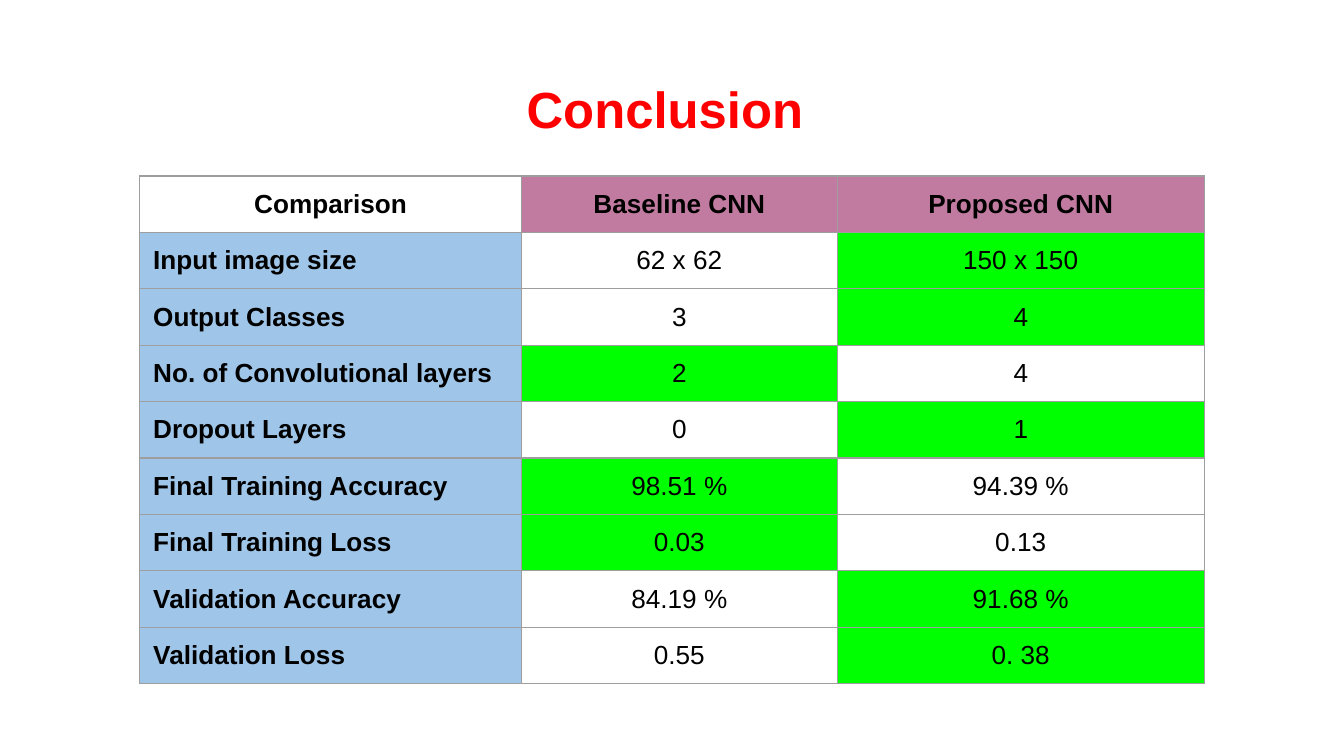
import pptx
import pptx.util
import pptx.dml.color
import pptx.enum.text
import pptx.oxml
import pptx.oxml.ns

WIDTH = 10
HEIGHT = WIDTH * 9 / 16
FONT = "Arial"
COLORS = {
    "title": "FF0000",
    "text": "000000",
    "model": "C27BA0",
    "metric": "9FC5E8",
    "better": "00FF00",
    "border": "9E9E9E",
}
COLUMN_WIDTHS = [2.84, 2.35, 2.73]
ROW_HEIGHT = 0.42
HEADINGS = ["Comparison", "Baseline CNN", "Proposed CNN"]
RESULTS = [
    ("Input image size", "62 x 62", "150 x 150", 2),
    ("Output Classes", "3", "4", 2),
    ("No. of Convolutional layers", "2", "4", 1),
    ("Dropout Layers", "0", "1", 2),
    ("Final Training Accuracy", "98.51 %", "94.39 %", 1),
    ("Final Training Loss", "0.03", "0.13", 1),
    ("Validation Accuracy", "84.19 %", "91.68 %", 2),
    ("Validation Loss", "0.55", "0. 38", 2),
]
Inches = pptx.util.Inches
ALIGN = pptx.enum.text.PP_ALIGN
ANCHOR = pptx.enum.text.MSO_ANCHOR


def rgb(name):
    return pptx.dml.color.RGBColor.from_string(COLORS[name])


def style_paragraph(paragraph, size, color, bold, align):
    paragraph.alignment = align
    paragraph.font.name = FONT
    paragraph.font.size = pptx.util.Pt(size)
    paragraph.font.bold = bold
    paragraph.font.color.rgb = rgb(color)


def add_borders(cell):
    properties = cell._tc.get_or_add_tcPr()
    for side in ("lnL", "lnR", "lnT", "lnB"):
        properties.append(pptx.oxml.parse_xml(
            f'<a:{side} {pptx.oxml.ns.nsdecls("a")} w="{pptx.util.Pt(0.75)}">'
            f'<a:solidFill><a:srgbClr val="{COLORS["border"]}"/></a:solidFill>'
            f'</a:{side}>'))


def fill_cell(cell, text, fill, bold, align, anchor):
    cell.text = text
    cell.vertical_anchor = anchor
    cell.margin_left = cell.margin_right = Inches(0.1)
    cell.margin_top = cell.margin_bottom = Inches(0.1)
    style_paragraph(cell.text_frame.paragraphs[0], 14, "text", bold, align)
    add_borders(cell)
    if fill:
        cell.fill.solid()
        cell.fill.fore_color.rgb = rgb(fill)
    else:
        cell.fill.background()


def set_title(slide, text):
    title = slide.shapes.title
    title.left, title.top = Inches(0.34), Inches(0.49)
    title.width, title.height = Inches(WIDTH - 2 * 0.34), Inches(0.63)
    frame = title.text_frame
    frame.text = text
    frame.auto_size = pptx.enum.text.MSO_AUTO_SIZE.NONE
    frame.vertical_anchor = ANCHOR.MIDDLE
    style_paragraph(frame.paragraphs[0], 27.2, "title", True, ALIGN.CENTER)


def add_comparison(slide):
    row_count = len(RESULTS) + 1
    comparison = slide.shapes.add_table(
        row_count, len(HEADINGS), Inches(1.04), Inches(1.31),
        Inches(sum(COLUMN_WIDTHS)), Inches(ROW_HEIGHT * row_count)).table
    comparison.first_row = comparison.horz_banding = False
    for column, width in zip(comparison.columns, COLUMN_WIDTHS):
        column.width = Inches(width)
    for row in comparison.rows:
        row.height = Inches(ROW_HEIGHT)

    for column, heading in enumerate(HEADINGS):
        fill_cell(comparison.cell(0, column), heading,
                  "model" if column else None, True, ALIGN.CENTER, ANCHOR.TOP)
    for row, (metric, *values, better) in enumerate(RESULTS, start=1):
        fill_cell(comparison.cell(row, 0), metric, "metric", True,
                  ALIGN.LEFT, ANCHOR.TOP)
        for column, value in enumerate(values, start=1):
            fill_cell(comparison.cell(row, column), value,
                      "better" if column == better else None, False,
                      ALIGN.CENTER, ANCHOR.MIDDLE)


def main():
    deck = pptx.Presentation()
    deck.slide_width, deck.slide_height = Inches(WIDTH), Inches(HEIGHT)
    slide = deck.slides.add_slide(deck.slide_layouts.get_by_name("Title Only"))
    add_comparison(slide)
    set_title(slide, "Conclusion ")
    deck.save("out.pptx")


if __name__ == "__main__":
    main()
